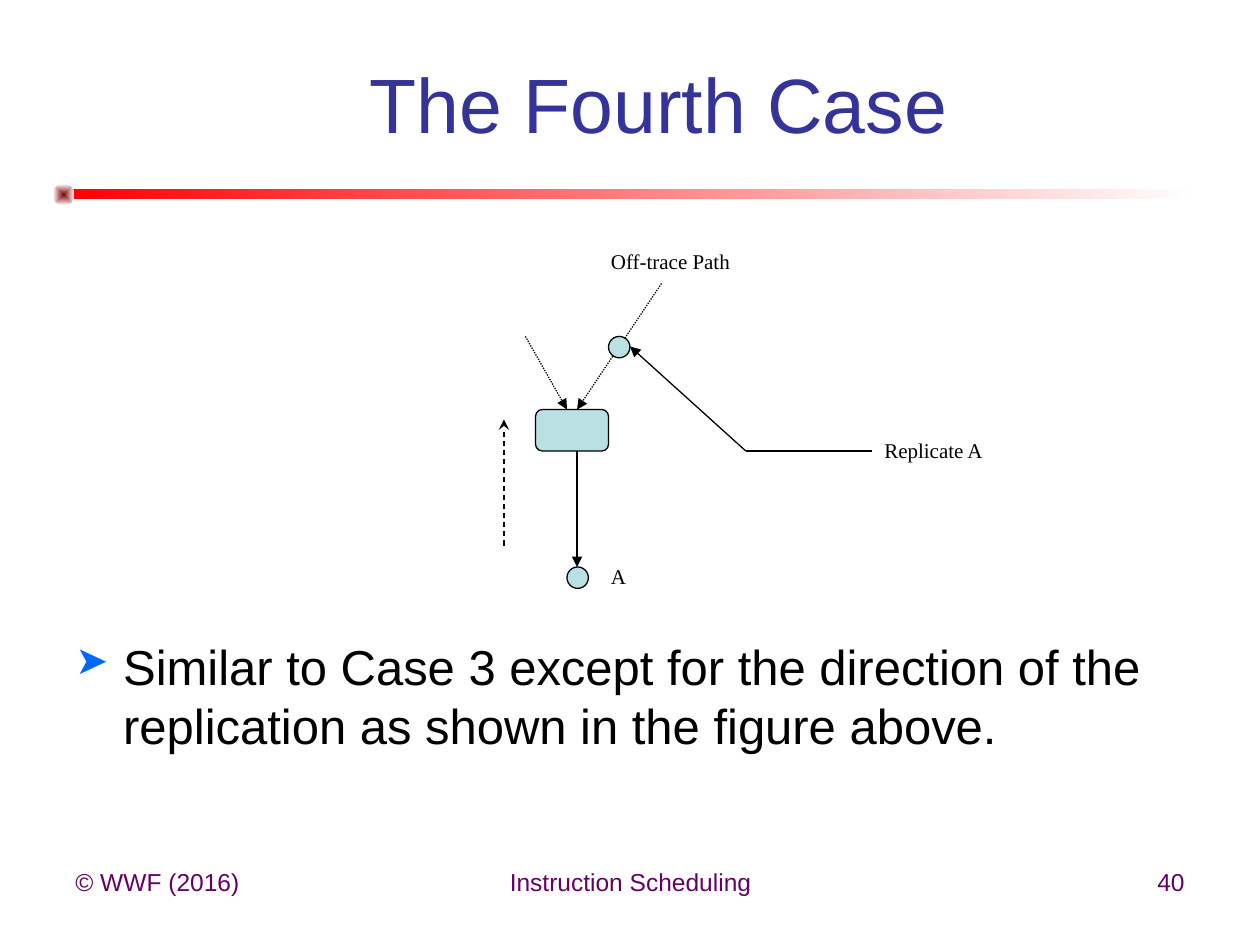
from lxml import etree
from pptx import Presentation
from pptx.dml.color import RGBColor
from pptx.enum.dml import MSO_LINE as Dash
from pptx.enum.shapes import MSO_CONNECTOR, MSO_SHAPE as Shape
from pptx.enum.text import MSO_ANCHOR, MSO_AUTO_SIZE, PP_ALIGN as Align
from pptx.oxml.ns import qn
from pptx.util import Inches, Pt


def color(value):
    """Turn a hex string into a colour."""
    return RGBColor.from_string(value)


def add_element(parent, tag, **attributes):
    """Append a drawing element to a parent."""
    return etree.SubElement(parent, qn(tag), attributes)


def style_text(para, text, size, ink, font="Arial", align=Align.LEFT):
    """Fill a paragraph and set its look."""
    para.text = text
    para.alignment = align
    para.font.size = Pt(size)
    para.font.name = font
    para.font.color.rgb = color(ink)


def add_text(page, box, text, size, ink, **look):
    """Add a wrapping text box and return its paragraph."""
    frame = page.shapes.add_textbox(*map(Inches, box)).text_frame
    frame.word_wrap = True
    para = frame.paragraphs[0]
    style_text(para, text, size, ink, **look)
    return para


def style_line(line, dash=None, arrow=None):
    """Draw a thin black line with an optional dash and arrowhead."""
    line.color.rgb = color("000000")
    line.width = Pt(0.75)
    if dash:
        line.dash_style = dash
    if arrow:
        add_element(line.color._xFill.getparent(), "a:tailEnd", type=arrow)


def add_line(page, start, end, dash=None, arrow="triangle"):
    """Connect two points with a straight line."""
    line = page.shapes.add_connector(MSO_CONNECTOR.STRAIGHT, *map(Inches, start + end))
    style_line(line.line, dash, arrow)
    add_element(line._element.spPr, "a:effectLst")


def add_node(page, kind, box):
    """Add a pale blue node with a black outline."""
    node = page.shapes.add_shape(kind, *map(Inches, box))
    node.shadow.inherit = False
    node.fill.solid()
    node.fill.fore_color.rgb = color("BBE0E3")
    style_line(node.line)


def add_gradient(page, kind, box, first, last):
    """Add an unlined shape that fades between two colours."""
    shape = page.shapes.add_shape(kind, *map(Inches, box))
    shape.shadow.inherit = False
    shape.line.fill.background()
    shape.fill.gradient()
    shape.fill.gradient_angle = 0
    for stop, position, ink in zip(shape.fill.gradient_stops, (0, 1), (first, last)):
        stop.position = position
        stop.color.rgb = color(ink)
    return shape


def add_rule(page, left, top, width):
    """Add the fading red rule with its round end."""
    add_gradient(page, Shape.RECTANGLE, (left, top, width, 0.08), "FF0000", "FFFFFF")
    dot_box = (left - 0.08, top - 0.04, 0.17, 0.17)
    dot = add_gradient(page, Shape.OVAL, dot_box, "800000", "FFFFFF")
    fill = dot._element.spPr.find(qn("a:gradFill"))
    fill.remove(fill.find(qn("a:lin")))
    path = add_element(fill, "a:path", path="shape")
    add_element(path, "a:fillToRect", **dict.fromkeys("ltrb", "50000"))


def add_title(page, box, text):
    """Place and format the title."""
    title = page.shapes.title
    title.left, title.top, title.width, title.height = map(Inches, box)
    title.text_frame.auto_size = MSO_AUTO_SIZE.NONE
    title.text_frame.vertical_anchor = MSO_ANCHOR.MIDDLE
    style_text(title.text_frame.paragraphs[0], text, 44, "333399", align=Align.CENTER)


def bezier(start, first, second, end, steps=12):
    """List the points of a cubic curve after its start."""
    points = []
    for step in range(1, steps + 1):
        t = step / steps
        weights = ((1 - t) ** 3, 3 * t * (1 - t) ** 2, 3 * t * t * (1 - t), t ** 3)
        corners = zip(start, first, second, end)
        points.append(tuple(sum(w * c for w, c in zip(weights, axis)) for axis in corners))
    return points


def add_flow_curve(page, left, top):
    """Add the dashed upward arrow beside the block."""
    start, middle, end = (0.29, 1.34), (0.29, 0.55), (0, 0)
    points = bezier(start, (0.31, 1.06), (0.33, 0.77), middle)
    points += bezier(middle, (0.24, 0.33), (0.12, 0.17), end)
    scale = Inches(1)
    builder = page.shapes.build_freeform(*start, scale=scale)
    builder.add_line_segments(points, close=False)
    curve = builder.convert_to_shape(Inches(left), Inches(top))
    curve.shadow.inherit = False
    curve.fill.background()
    style_line(curve.line, Dash.DASH, "stealth")


def add_diagram(page, left, top):
    """Draw the trace block, its replicated node and their labels."""
    def at(x, y):
        return left + x, top + y

    dot = (0.17, 0.17)
    add_node(page, Shape.FLOWCHART_ALTERNATE_PROCESS, at(0.25, 1.33) + (0.58, 0.33))
    add_node(page, Shape.OVAL, at(0.5, 2.58) + dot)
    add_line(page, at(0.58, 1.66), at(0.58, 2.58))
    for start, end in (((1.25, 0.33), (0.58, 1.33)), ((0.17, 0.75), (0.5, 1.33))):
        add_line(page, at(*start), at(*end), Dash.ROUND_DOT)
    add_node(page, Shape.OVAL, at(0.83, 0.75) + dot)
    bend = at(1.92, 1.66)
    add_line(page, bend, at(2.92, 1.66), arrow=None)
    add_line(page, bend, at(1, 0.83))
    labels = (("Replicate A", 2.92, 1.5, 1.92), ("Off-trace Path", 0.75, 0, 1.92), ("A", 0.75, 2.5, 0.4))
    for text, x, y, width in labels:
        add_text(page, at(x, y) + (width, 0.3), text, 12, "000000", font="Times New Roman")
    add_flow_curve(page, *at(0, 1.41))


def add_body(page, box, text):
    """Add the bulleted statement."""
    para = add_text(page, box, text, 28, "000000")
    props = para._p.get_or_add_pPr()
    props.set("marL", str(Inches(0.38)))
    props.set("indent", str(Inches(-0.38)))
    bullets = [etree.Element(qn(tag)) for tag in ("a:buClr", "a:buSzPct", "a:buChar")]
    add_element(bullets[0], "a:srgbClr", val="0066FF")
    bullets[1].set("val", "80000")
    bullets[2].set("char", "➤")
    for index, bullet in enumerate(bullets):
        props.insert(index, bullet)


def add_footer(page, top):
    """Add the copyright, subject and page number."""
    parts = (
        ("© WWF (2016)", 0.5, 2.33, Align.LEFT),
        ("Instruction Scheduling", 3.42, 3.17, Align.CENTER),
        ("40", 7.17, 2.33, Align.RIGHT),
    )
    for text, left, width, align in parts:
        add_text(page, (left, top, width, 0.52), text, 14, "660066", align=align)


def main():
    """Build and save the slide."""
    deck = Presentation()
    deck.slide_width, deck.slide_height = Inches(10), Inches(7.5)
    page = deck.slides.add_slide(deck.slide_layouts.get_by_name("Title Only"))
    add_rule(page, 0.5, 1.5, 9)
    add_footer(page, 6.83)
    add_title(page, (1.16, 0.55, 8.14, 0.53), "The Fourth Case")
    add_body(page, (0.5, 5, 9, 1.08),
             "Similar to Case 3 except for the direction of the replication as shown in the figure above.")
    add_diagram(page, 4, 1.92)
    deck.save("out.pptx")


if __name__ == "__main__":
    main()
